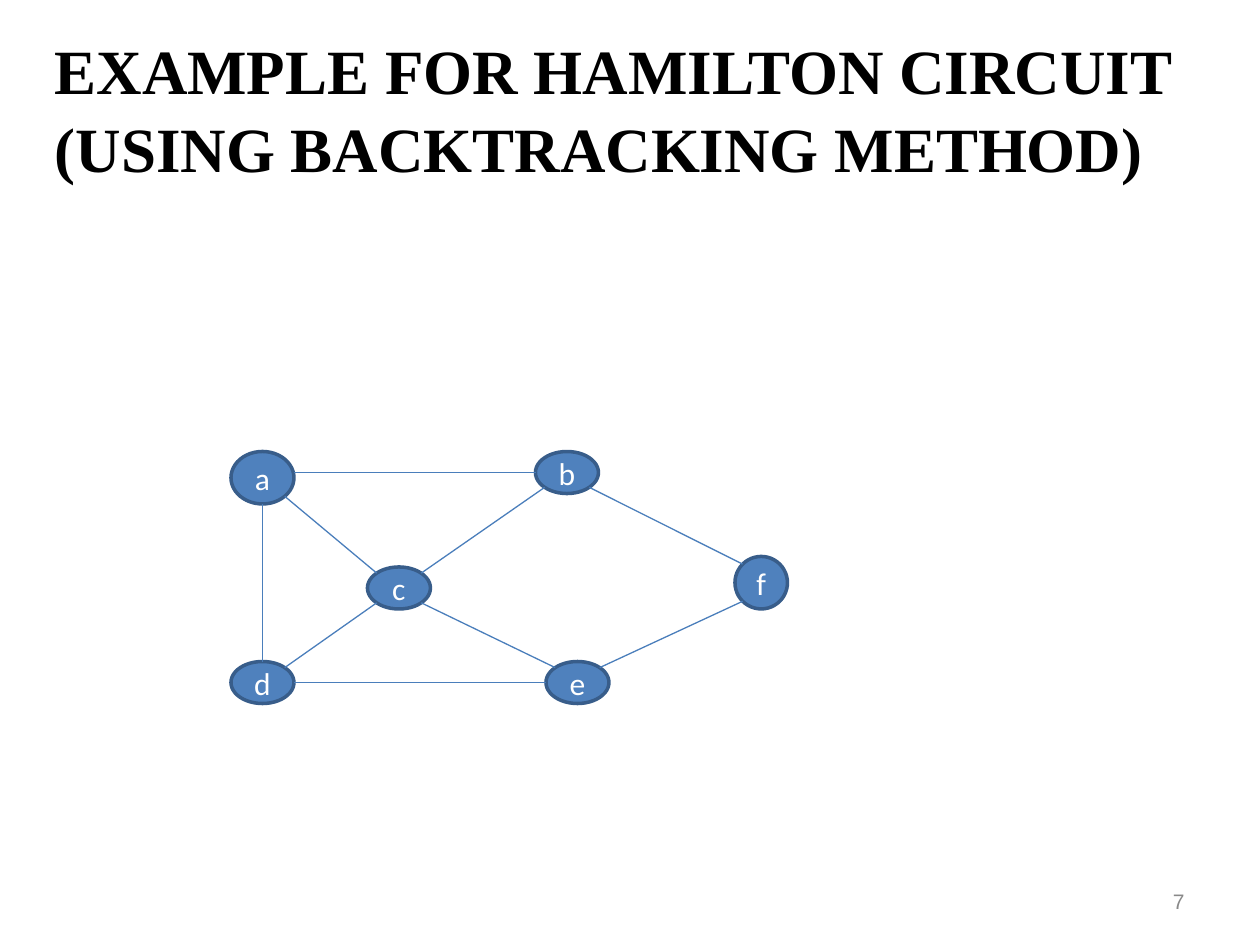
from dataclasses import dataclass
from math import sqrt

from lxml.etree import SubElement
from pptx import Presentation
from pptx.dml.color import RGBColor
from pptx.enum.shapes import MSO_CONNECTOR, MSO_SHAPE
from pptx.enum.text import MSO_ANCHOR, PP_ALIGN
from pptx.oxml.ns import qn
from pptx.util import Inches, Pt


@dataclass(frozen=True)
class Style:
    font: str
    size: int
    color: str
    bold: bool = False


@dataclass(frozen=True)
class Theme:
    title: Style = Style("Times New Roman", 36, "000000", True)
    number: Style = Style("Arial", 12, "898989")
    node: Style = Style("Calibri", 18, "FFFFFF")
    node_fill: str = "4F81BD"
    node_line: str = "385D8A"
    edge: str = "4A7EBB"


THEME = Theme()

# Content: boxes are left, top, width, height in grid cells
CELL = Inches(1) / 12
TITLE = "EXAMPLE FOR HAMILTON CIRCUIT (USING BACKTRACKING METHOD)"
TITLE_BOX = (4, 2, 111, 17)
PAGE_NUMBER = "7"
NUMBER_BOX = (86, 83.4, 28, 4.8)
NODES = {
    "a": (22, 43, 6, 5),
    "b": (51, 43, 6, 4),
    "c": (35, 54, 6, 4),
    "d": (22, 63, 6, 4),
    "e": (52, 63, 6, 4),
    "f": (70, 53, 5, 5),
}
# Each edge leaves the first node in the given direction (x, y)
EDGES = [
    ("a", "b", (1, 0)),
    ("a", "d", (0, 1)),
    ("c", "d", (-1, 1)),
    ("a", "c", (1, 1)),
    ("c", "b", (1, -1)),
    ("c", "e", (1, 1)),
    ("d", "e", (1, 0)),
    ("b", "f", (1, 1)),
    ("e", "f", (1, -1)),
]


def emu(cells):
    return [round(cell * CELL) for cell in cells]


def style_text(frame, style, align):
    frame.word_wrap = True
    frame.vertical_anchor = MSO_ANCHOR.MIDDLE
    paragraph = frame.paragraphs[0]
    paragraph.alignment = align
    for run in paragraph.runs:
        run.font.name = style.font
        run.font.size = Pt(style.size)
        run.font.bold = style.bold
        run.font.color.rgb = RGBColor.from_string(style.color)


def rim_point(node, direction):
    """Point on a node's ellipse in one of eight directions."""
    left, top, width, height = NODES[node]
    dx, dy = direction
    reach = sqrt(dx * dx + dy * dy)
    return (left + width / 2 * (1 + dx / reach),
            top + height / 2 * (1 + dy / reach))


def add_node(slide, label, box):
    node = slide.shapes.add_shape(MSO_SHAPE.OVAL, *emu(box))
    node.shadow.inherit = False
    node.fill.solid()
    node.fill.fore_color.rgb = RGBColor.from_string(THEME.node_fill)
    node.line.color.rgb = RGBColor.from_string(THEME.node_line)
    node.line.width = Pt(2)
    node.text_frame.text = label
    style_text(node.text_frame, THEME.node, PP_ALIGN.CENTER)


def add_edge(slide, first, second, direction):
    dx, dy = direction
    start = rim_point(first, direction)
    end = rim_point(second, (-dx, -dy))
    if dy == 0:  # keep horizontal edges level
        start = (start[0], end[1])
    edge = slide.shapes.add_connector(MSO_CONNECTOR.STRAIGHT, *emu(start + end))
    edge.line.color.rgb = RGBColor.from_string(THEME.edge)
    edge.line.width = Pt(0.75)
    SubElement(edge._element.spPr, qn("a:effectLst"))


def main():
    deck = Presentation()
    deck.slide_width, deck.slide_height = Inches(10), Inches(7.5)
    slide = deck.slides.add_slide(deck.slide_layouts[5])

    # Title
    title = slide.shapes.title
    title.left, title.top, title.width, title.height = emu(TITLE_BOX)
    title.text_frame.text = TITLE
    style_text(title.text_frame, THEME.title, PP_ALIGN.LEFT)
    title.text_frame.margin_bottom = Inches(0.1)
    title.text_frame.paragraphs[0].line_spacing = 1.03

    # Page number
    number = slide.shapes.add_textbox(*emu(NUMBER_BOX))
    number.text_frame.text = PAGE_NUMBER
    style_text(number.text_frame, THEME.number, PP_ALIGN.RIGHT)

    # Graph
    for label, box in NODES.items():
        add_node(slide, label, box)
    for first, second, direction in EDGES:
        add_edge(slide, first, second, direction)

    deck.save("out.pptx")


if __name__ == "__main__":
    main()
